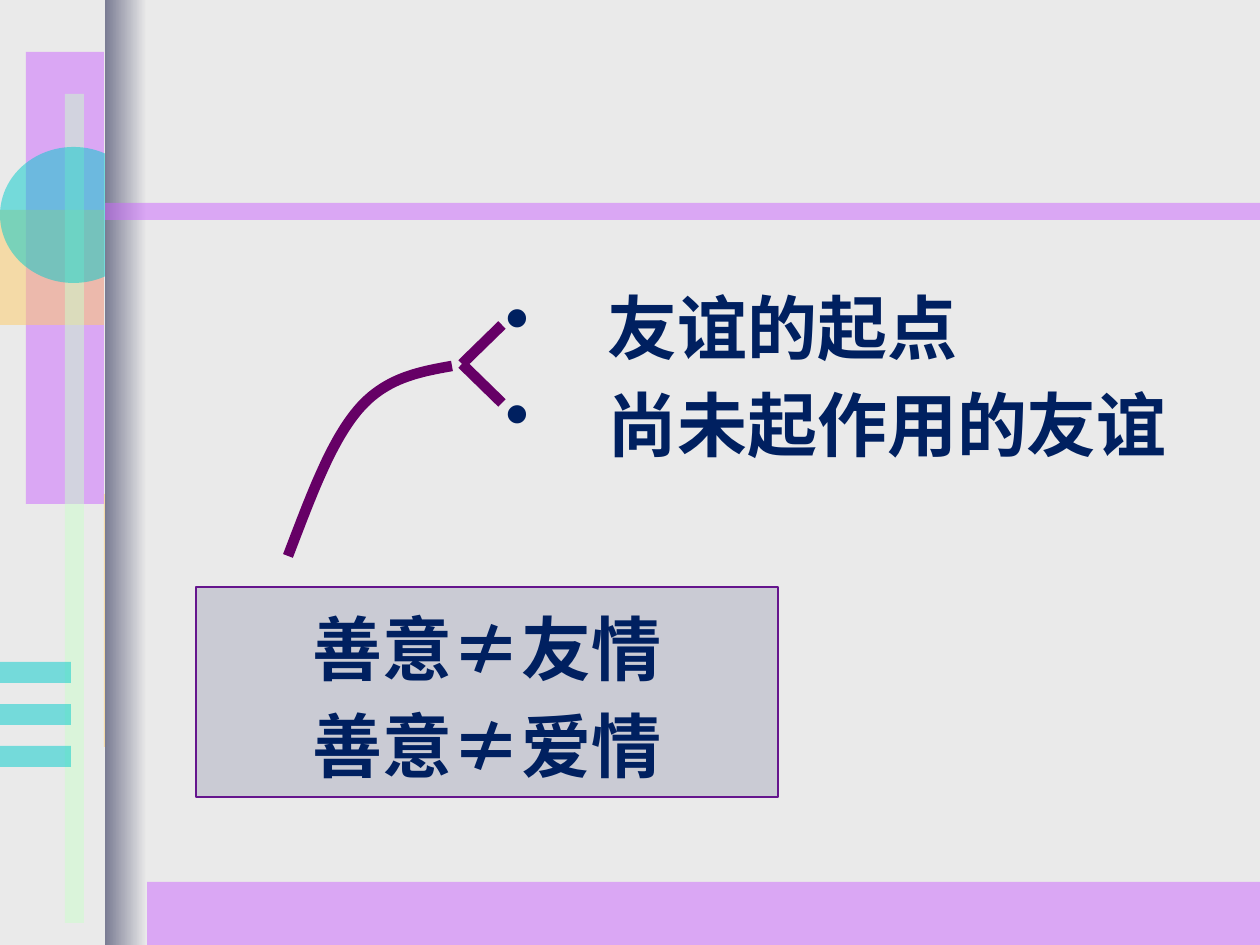
from lxml import etree
from pptx import Presentation
from pptx import util as u
from pptx.dml.color import RGBColor
from pptx.enum import shapes, text
from pptx.oxml.ns import qn

PX = 914400 / 126
HUES = {
    "paper": "EAEAEA", "violet": "CC66FF", "gold": "FFCC66",
    "mint": "CCFFCC", "teal": "00CCCC", "shade": "7A7C93",
    "panel": "CACBD4", "edge": "65158D", "navy": "002060", "plum": "660066",
}
FONT = "Noto Sans CJK SC"
RECT = shapes.MSO_SHAPE.RECTANGLE
OVAL = shapes.MSO_SHAPE.OVAL


def emu(n):
    return u.Emu(round(n * PX))


def rgb(hue):
    return RGBColor.from_string(HUES[hue])


def bezier(a, b, c, d, steps=24):
    """Points along a cubic curve, without its start."""
    for i in range(1, steps + 1):
        t = i / steps
        s = 1 - t
        yield tuple(s**3 * p + 3 * s * s * t * q + 3 * s * t * t * r + t**3 * e
                    for p, q, r, e in zip(a, b, c, d))


class Page:
    def __init__(self, deck):
        self.slide = deck.slides.add_slide(deck.slide_layouts[6])
        self.items = self.slide.shapes
        self.slide.background.fill.solid()
        self.slide.background.fill.fore_color.rgb = rgb("paper")

    def paint(self, item, hue, alpha=None):
        item.shadow.inherit = False
        item.fill.solid()
        item.fill.fore_color.rgb = rgb(hue)
        item.line.fill.background()
        if alpha:
            tint = item.fill._xPr.find(qn("a:solidFill"))[0]
            etree.SubElement(tint, qn("a:alpha")).set("val", str(alpha * 1000))

    def shape(self, box, hue, alpha=50, kind=RECT):
        item = self.items.add_shape(kind, *map(emu, box))
        self.paint(item, hue, alpha)
        return item

    def fade(self, box, left, right):
        item = self.shape(box, left, None)
        item.fill.gradient()
        item.fill.gradient_angle = 0
        for stop, hue in zip(item.fill.gradient_stops, (left, right)):
            stop.color.rgb = rgb(hue)

    def outline(self, points, close):
        spots = [(emu(x), emu(y)) for x, y in points]
        form = self.items.build_freeform(*spots[0], scale=1.0)
        form.add_line_segments(spots[1:], close=close)
        return form.convert_to_shape()

    def stroke(self, item, hue, width):
        item.line.color.rgb = rgb(hue)
        item.line.width = u.Pt(width)

    def curve(self, points, hue, width):
        item = self.outline(points, False)
        item.shadow.inherit = False
        item.fill.background()
        self.stroke(item, hue, width)

    def line(self, start, end, hue, width):
        item = self.items.add_connector(
            shapes.MSO_CONNECTOR.STRAIGHT, *map(emu, start + end))
        etree.SubElement(item._element.spPr, qn("a:effectLst"))
        self.stroke(item, hue, width)

    def label(self, box):
        return self.items.add_textbox(*map(emu, box))

    def letter(self, item, rows, align, hang, bullet=None):
        frame = item.text_frame
        frame.word_wrap = True
        frame.vertical_anchor = text.MSO_ANCHOR.TOP
        for i, row in enumerate(rows):
            para = frame.add_paragraph() if i else frame.paragraphs[0]
            para.alignment = align
            para.line_spacing = 1.15
            props = para._p.get_or_add_pPr()
            props.set("marL", str(emu(hang)))
            props.set("indent", str(-emu(hang)))
            if bullet:
                tint = etree.SubElement(props, qn("a:buClr"))
                etree.SubElement(tint, qn("a:srgbClr")).set("val", HUES["navy"])
                etree.SubElement(props, qn("a:buChar")).set("char", bullet)
            else:
                etree.SubElement(props, qn("a:buNone"))
            run = para.add_run()
            run.text = row
            font = run.font
            font.size, font.bold, font.name = u.Pt(40), True, FONT
            font.color.rgb = rgb("navy")
            east = etree.SubElement(run._r.get_or_add_rPr(), qn("a:ea"))
            east.set("typeface", FONT)


def main():
    deck = Presentation()
    deck.slide_width, deck.slide_height = emu(1260), emu(945)
    page = Page(deck)

    # Footer band and side ornaments
    page.shape((105, 882, 1155, 63), "violet")
    page.shape((26, 52, 78, 452), "violet")
    page.shape((0, 210, 104, 115), "gold")
    page.shape((65, 94, 19, 829), "mint")
    for i in range(3):
        page.shape((0, 662 + 42 * i, 71, 21), "teal")

    # Half disc behind the spine
    top, right, low = (104, 494), (131, 621), (104, 747)
    half = [top, *bezier(top, (119, 494), (131, 551), right),
            *bezier(right, (131, 690), (119, 747), low)]
    page.paint(page.outline(half, True), "gold", 50)
    page.shape((0, 147, 147, 136), "teal", kind=OVAL)

    # Spine and title rule
    page.fade((105, 0, 42, 945), "shade", "paper")
    page.shape((105, 203, 1155, 17), "violet")

    # Panel of contrasts
    panel = page.shape((196, 587, 582, 210), "panel", None)
    page.stroke(panel, "edge", 0.75)
    page.letter(panel, ["善意≠友情", "善意≠爱情"], text.PP_ALIGN.CENTER, 48)

    # Bulleted meanings
    notes = page.label((493, 266, 748, 207))
    page.letter(notes, ["友谊的起点", "尚未起作用的友谊"],
                text.PP_ALIGN.LEFT, 102, "•")

    # Curved stem and its fork
    foot, bend, tip = (288, 556), (358, 410), (452, 366)
    stem = [foot, *bezier(foot, (310, 499), (330, 443), bend),
            *bezier(bend, (385, 378), (419, 372), tip)]
    page.curve(stem, "plum", 6)
    for y in (325, 403):
        page.line((462, 364), (502, y), "plum", 6)

    deck.save("out.pptx")


if __name__ == "__main__":
    main()
